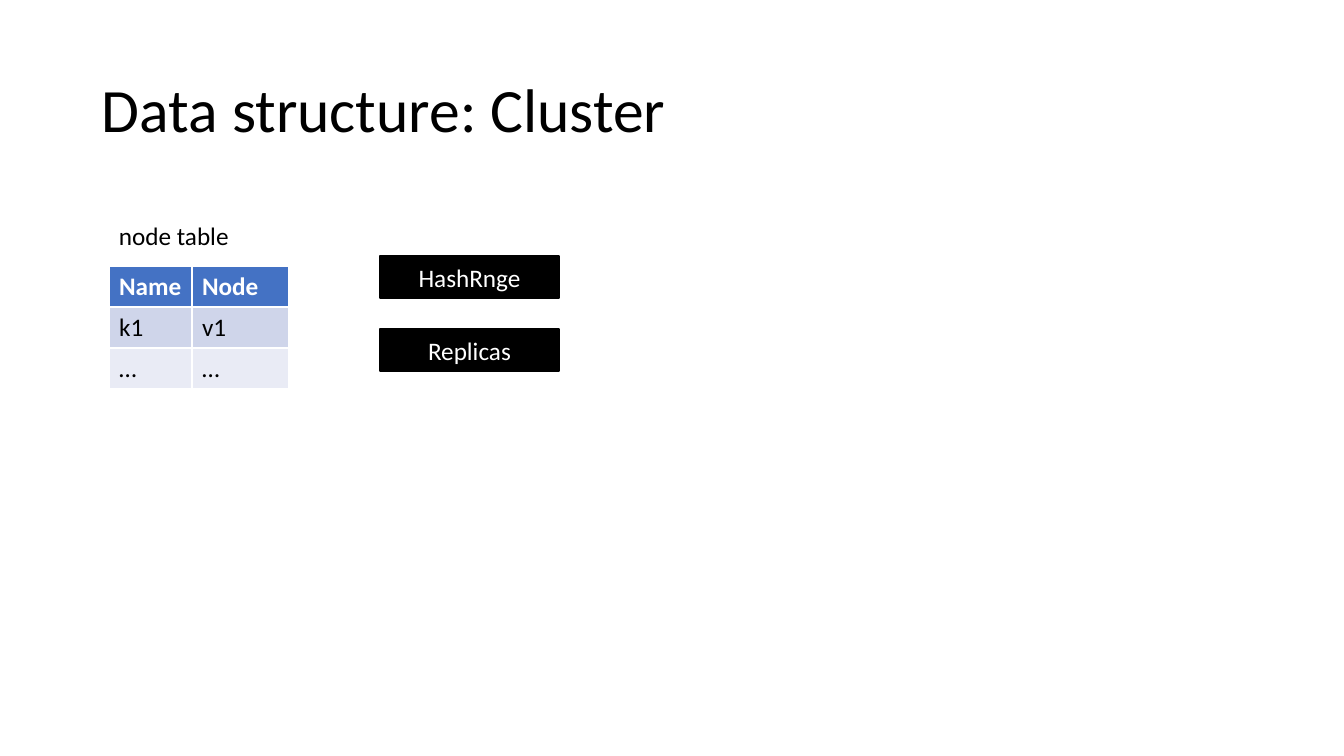
from pptx import Presentation
from pptx.dml.color import RGBColor
from pptx.enum.shapes import MSO_SHAPE
from pptx.enum.text import MSO_ANCHOR, PP_ALIGN
from pptx.util import Emu, Pt

RECT = MSO_SHAPE.RECTANGLE
TOP, MIDDLE = MSO_ANCHOR.TOP, MSO_ANCHOR.MIDDLE
LEFT, CENTER = PP_ALIGN.LEFT, PP_ALIGN.CENTER

TITLE = "Data structure: Cluster"
LABEL = "node table"
ROWS = [("Name", "Node"), ("k1", "v1"), ("…", "…")]
FIELDS = ["HashRnge", "Replicas"]

COLORS = {"black": "000000", "white": "FFFFFF", "head": "4472C4",
          "odd": "CFD5EA", "even": "E9EBF5"}
FILLS = ["head", "odd", "even"]
FONT = "Calibri"
SCALE = 9071.43

COLS = [83, 97]
ROW = 41
TABLE = (109, 266)
FIELD = (380, 256, 179, 42)
STEP = 73


def px(*sizes):
    return [Emu(round(size * SCALE)) for size in sizes]


def color(name):
    return RGBColor.from_string(COLORS[name])


def write(frame, text, size=18, ink="black", bold=False, align=LEFT):
    frame.text = text
    line = frame.paragraphs[0]
    line.alignment = align
    font = line.runs[0].font
    font.name, font.size, font.bold = FONT, Pt(size), bold
    font.color.rgb = color(ink)
    return line


def add_text(box, text, size=18, anchor=TOP, wrap=True):
    frame = slide.shapes.add_textbox(*px(*box)).text_frame
    frame.word_wrap = wrap
    frame.vertical_anchor = anchor
    return write(frame, text, size)


deck = Presentation()
deck.slide_width, deck.slide_height = px(1344, 756)
slide = deck.slides.add_slide(deck.slide_layouts[6])

add_text((92, 40, 1159, 146), TITLE, 44, MIDDLE).line_spacing = 0.9

grid = slide.shapes.add_table(
    len(ROWS), len(COLS), *px(*TABLE, sum(COLS), ROW * len(ROWS))).table
for col, width in zip(grid.columns, px(*COLS)):
    col.width = width
for r, (row, fill) in enumerate(zip(ROWS, FILLS)):
    head = r == 0
    for c, text in enumerate(row):
        cell = grid.cell(r, c)
        cell.fill.solid()
        cell.fill.fore_color.rgb = color(fill)
        write(cell.text_frame, text, ink="white" if head else "black", bold=head)

add_text((109, 215, 132, 40), LABEL, wrap=False)

left, top, width, height = FIELD
for i, text in enumerate(FIELDS):
    box = slide.shapes.add_shape(RECT, *px(left, top + i * STEP, width, height))
    box.shadow.inherit = False
    box.fill.solid()
    box.fill.fore_color.rgb = color("black")
    box.line.color.rgb = color("black")
    box.line.width = Pt(1)
    box.text_frame.vertical_anchor = MIDDLE
    write(box.text_frame, text, ink="white", align=CENTER)

deck.save("out.pptx")
